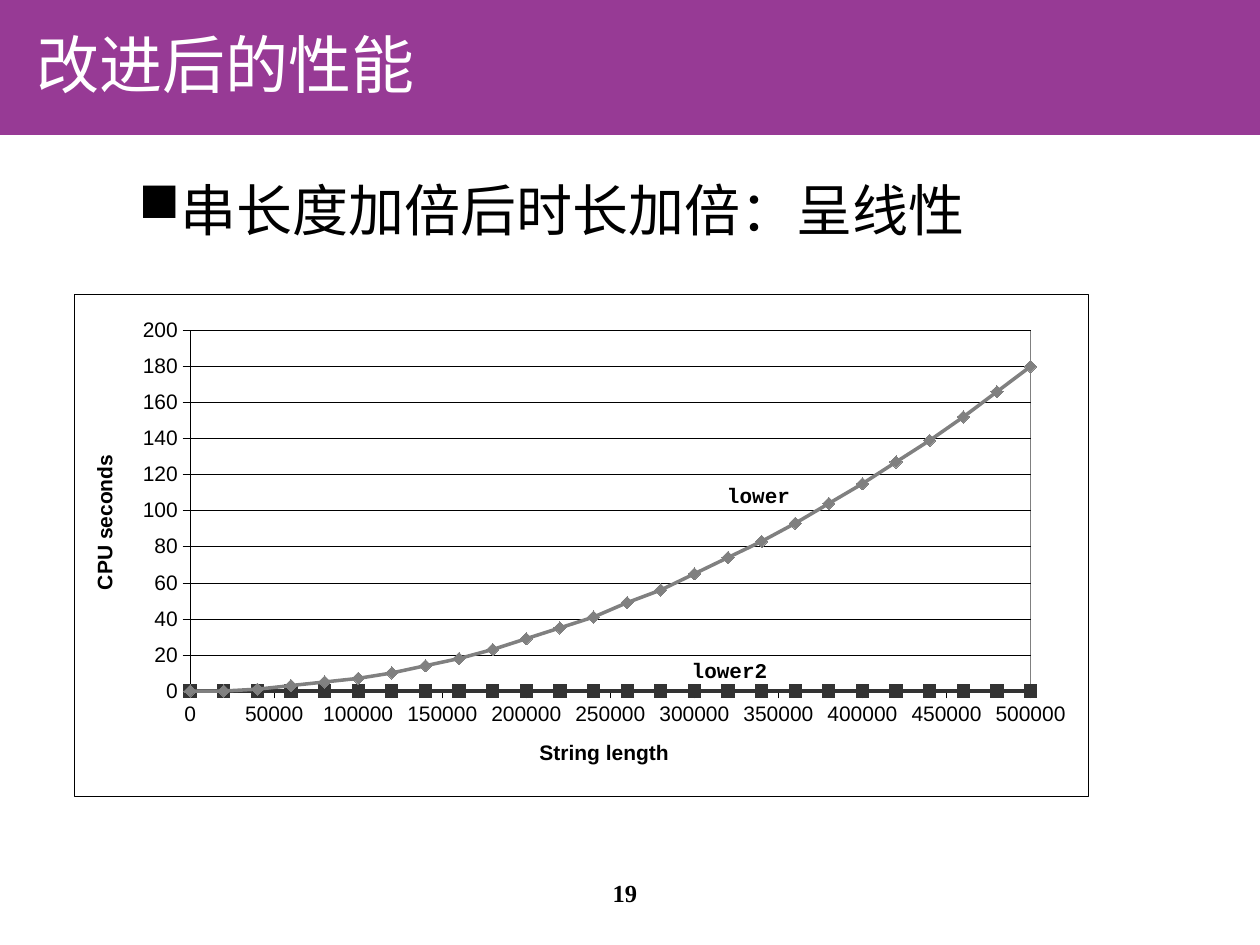
from dataclasses import dataclass

from lxml.etree import SubElement
from pptx import Presentation
from pptx.chart.data import XyChartData
from pptx.dml.color import RGBColor
from pptx.enum.chart import XL_CHART_TYPE, XL_MARKER_STYLE, XL_TICK_MARK
from pptx.enum.shapes import MSO_SHAPE
from pptx.enum.text import MSO_ANCHOR, PP_ALIGN
from pptx.oxml import parse_xml
from pptx.oxml.ns import nsdecls, qn
from pptx.util import Inches, Pt

CJK = "Noto Sans CJK SC"
BLACK = "000000"
GREY = "808080"


@dataclass
class Curve:
    """One plotted curve with its marker."""
    name: str
    vals: list
    color: str
    mark: XL_MARKER_STYLE


@dataclass
class Label:
    """A code name set beside its curve."""
    text: str
    left: float
    top: float


CURVES = [
    Curve("lower", [0, 0, 1, 3, 5, 7, 10, 14, 18, 23, 29, 35, 41, 49, 56, 65, 74, 83,
                    93, 104, 115, 127, 139, 152, 166, 180], GREY, XL_MARKER_STYLE.DIAMOND),
    Curve("lower2", [0] * 26, "333333", XL_MARKER_STYLE.SQUARE),
]
LABELS = [Label("lower", 5.74, 3.8), Label("lower2", 5.46, 5.19)]


def paint(value: str) -> RGBColor:
    """Turn a hex string into a colour."""
    return RGBColor.from_string(value)


def stroke(line, color: str, width: float) -> None:
    """Set the colour and width of a line."""
    line.color.rgb = paint(color)
    line.width = Pt(width)


def write(slide, text: str, left: float, top: float, width: float, height: float, *,
          size: float, font: str, color: str = BLACK, bold: bool = False,
          align=PP_ALIGN.LEFT, anchor=MSO_ANCHOR.TOP, wrap: bool = True,
          inset: tuple = (0.1, 0.05, 0.1, 0.05), bullet: str = "") -> None:
    """Place a one-paragraph text box."""
    box = slide.shapes.add_textbox(Inches(left), Inches(top), Inches(width), Inches(height))
    frame = box.text_frame
    frame.word_wrap = wrap
    frame.vertical_anchor = anchor
    (frame.margin_left, frame.margin_top,
     frame.margin_right, frame.margin_bottom) = map(Inches, inset)
    para = frame.paragraphs[0]
    para.alignment = align
    if bullet:
        props = para._p.get_or_add_pPr()
        props.set("marL", str(Inches(0.99)))
        props.set("indent", str(Inches(-0.31)))
        SubElement(props, qn("a:buChar")).set("char", bullet)
    run = para.add_run()
    run.text = text
    run.font.size = Pt(size)
    run.font.name = font
    run.font.bold = bold
    run.font.color.rgb = paint(color)
    SubElement(run._r.get_or_add_rPr(), qn("a:ea")).set("typeface", font)


def style_axis(axis, title: str, top: float, step: float) -> None:
    """Set the scale, title and lines of an axis."""
    axis.minimum_scale, axis.maximum_scale, axis.major_unit = 0, top, step
    axis.major_tick_mark = XL_TICK_MARK.OUTSIDE
    axis.minor_tick_mark = XL_TICK_MARK.NONE
    axis.tick_labels.number_format = "0"
    axis.tick_labels.number_format_is_linked = False
    stroke(axis.format.line, BLACK, 0.25)
    frame = axis.axis_title.text_frame
    frame.text = title
    font = frame.paragraphs[0].runs[0].font
    font.size, font.bold, font.name = Pt(12), True, "Arial"
    font.color.rgb = paint(BLACK)


def frame_xml(fill: str, color: str):
    """Build the fill and border of a chart area."""
    inner = f'<a:solidFill><a:srgbClr val="{fill}"/></a:solidFill>' if fill else "<a:noFill/>"
    return parse_xml(
        f'<c:spPr {nsdecls("c", "a")}>{inner}<a:ln w="3175"><a:solidFill>'
        f'<a:srgbClr val="{color}"/></a:solidFill></a:ln></c:spPr>')


def layout_xml(left: float, top: float, width: float, height: float):
    """Build a fixed inner plot layout."""
    sizes = "".join(f'<c:{key} val="{val}"/>' for key, val in
                    zip("xywh", (left, top, width, height)))
    return parse_xml(
        f'<c:layout {nsdecls("c")}><c:manualLayout><c:layoutTarget val="inner"/>'
        f'<c:xMode val="edge"/><c:yMode val="edge"/>{sizes}</c:manualLayout></c:layout>')


def draw_chart(slide) -> None:
    """Add the scatter chart of run times."""
    data = XyChartData()
    for curve in CURVES:
        series = data.add_series(curve.name)
        for index, val in enumerate(curve.vals):
            series.add_data_point(index * 20000, val)
    chart = slide.shapes.add_chart(XL_CHART_TYPE.XY_SCATTER_SMOOTH, Inches(0.59), Inches(2.33),
                                   Inches(8.05), Inches(3.99), data).chart
    chart.has_title = chart.has_legend = False
    chart.font.size, chart.font.name = Pt(12), "Arial"
    chart.font.color.rgb = paint(BLACK)
    plot = chart.plots[0]
    plot.vary_by_categories = False
    for series, curve in zip(plot.series, CURVES):
        series.smooth = True
        stroke(series.format.line, curve.color, 2)
        mark = series.marker
        mark.style, mark.size = curve.mark, 7
        mark.format.fill.solid()
        mark.format.fill.fore_color.rgb = paint(curve.color)
        stroke(mark.format.line, curve.color, 0.25)
    style_axis(chart.category_axis, "String length", 500000, 50000)
    style_axis(chart.value_axis, "CPU seconds", 200, 20)
    chart.category_axis.has_major_gridlines = False
    chart.value_axis.has_major_gridlines = True
    stroke(chart.value_axis.major_gridlines.format.line, BLACK, 0.25)

    root = chart._chartSpace
    body = root.xpath("c:chart/c:plotArea/c:valAx[2]/c:title//a:bodyPr")[0]
    body.set("rot", "-5400000")
    body.set("vert", "horz")
    area = root.xpath("c:chart/c:plotArea")[0]
    for old in area.xpath("c:layout"):
        area.remove(old)
    area.insert(0, layout_xml(0.114, 0.073, 0.829, 0.718))
    area.append(frame_xml("", GREY))
    root.xpath("c:chart")[0].addnext(frame_xml("FFFFFF", BLACK))


def main() -> None:
    """Build and save the slide."""
    deck = Presentation()
    deck.slide_width, deck.slide_height = Inches(10), Inches(7.5)
    slide = deck.slides.add_slide(deck.slide_layouts[6])
    band = slide.shapes.add_shape(MSO_SHAPE.RECTANGLE, 0, Inches(-0.01), Inches(10), Inches(1.08))
    band.shadow.inherit = False
    band.fill.solid()
    band.fill.fore_color.rgb = paint("973A95")
    band.line.fill.background()
    write(slide, "串长度加倍后时长加倍：呈线性", 0.32, 1.34, 9.09, 0.99,
          size=32, font=CJK, bullet="■")
    draw_chart(slide)
    for label in LABELS:
        write(slide, label.text, label.left, label.top, 0.73, 0.26, size=12,
              font="Courier New", bold=True, wrap=False, inset=(0.03, 0.03, 0, 0))
    write(slide, "改进后的性能", 0.19, 0.13, 6.56, 0.75, size=36, font=CJK,
          color="FFFFFF", anchor=MSO_ANCHOR.MIDDLE)
    write(slide, "19", 3.92, 6.92, 2.08, 0.5, size=14, font="Times New Roman",
          bold=True, align=PP_ALIGN.CENTER)
    deck.save("out.pptx")


if __name__ == "__main__":
    main()
